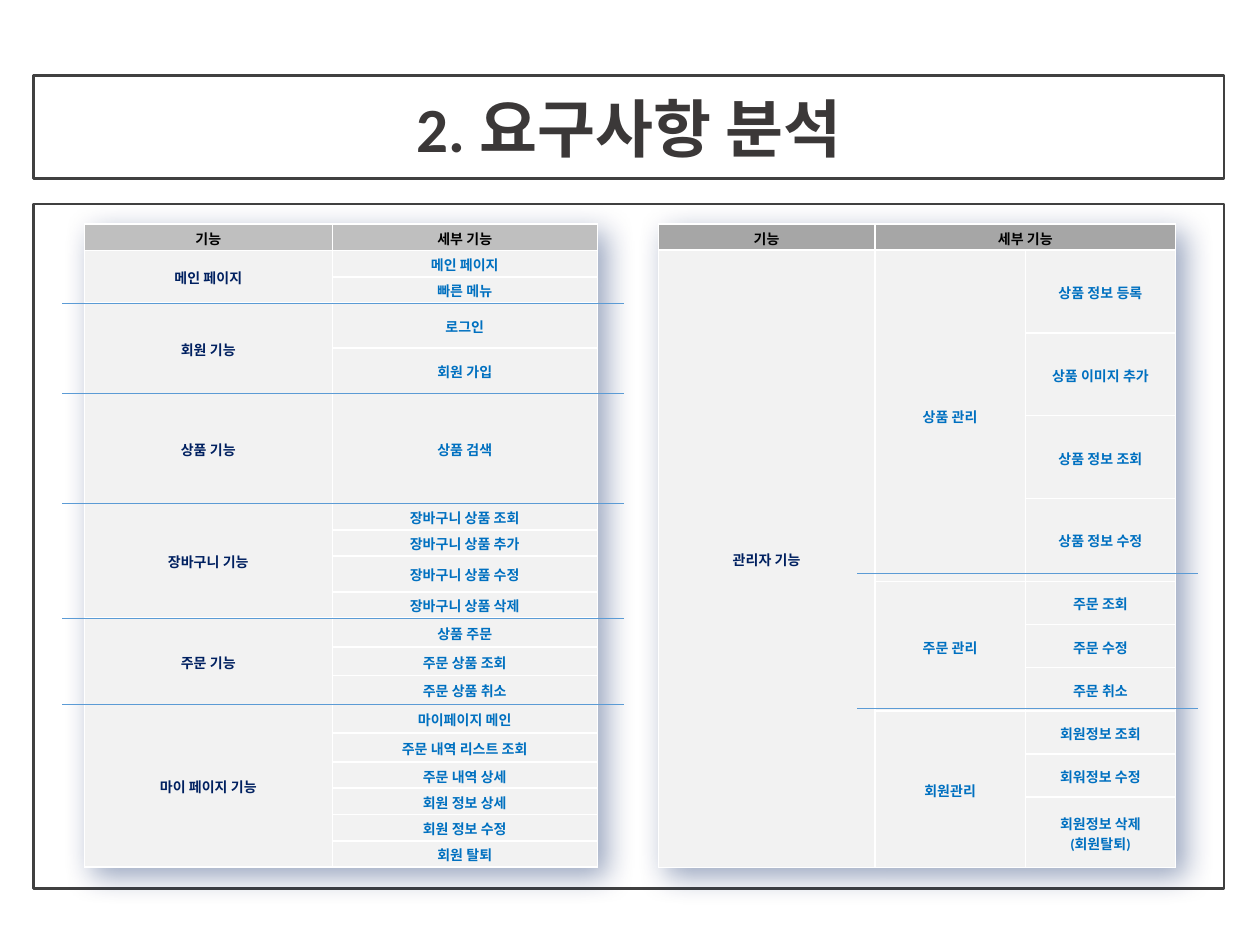
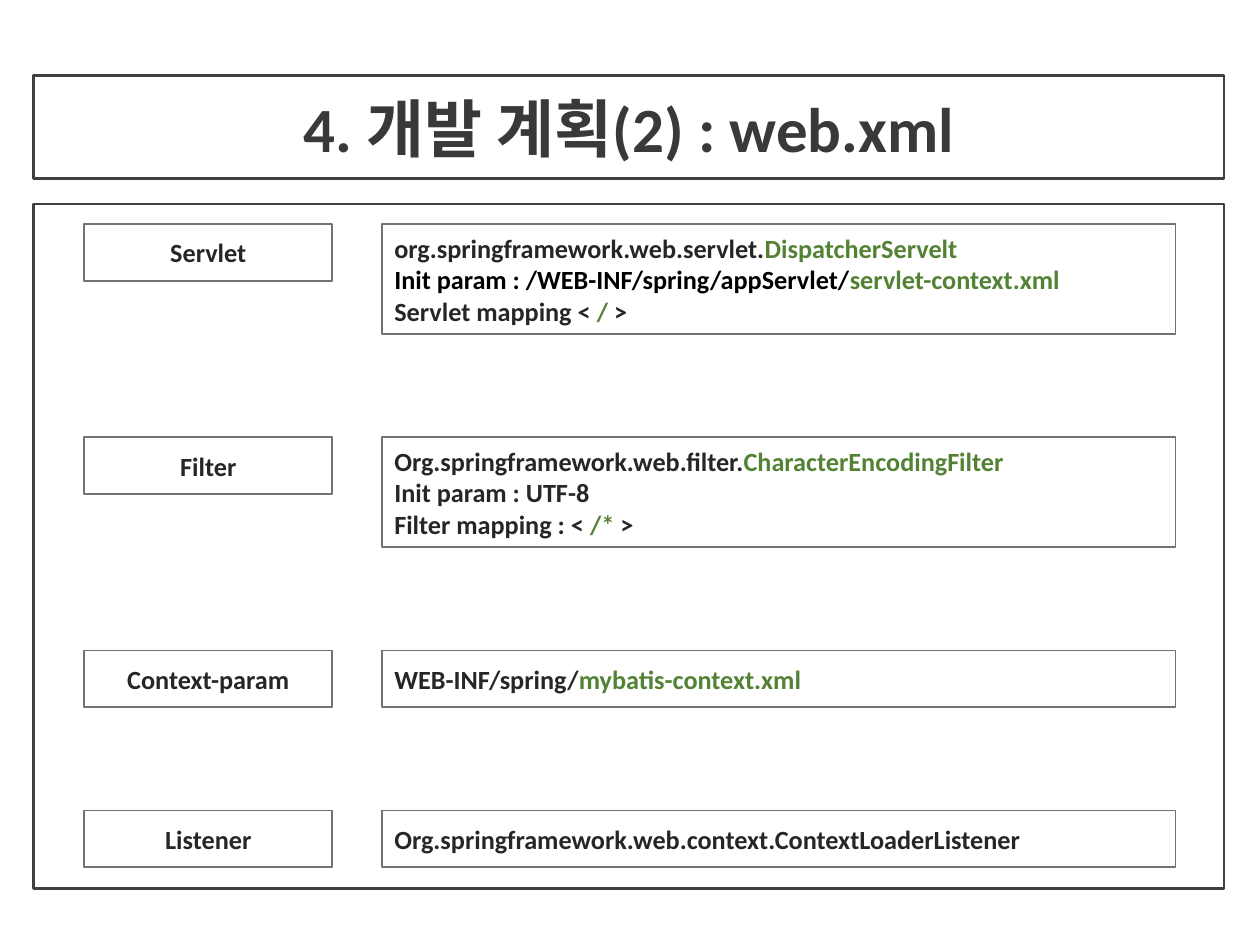
from itertools import accumulate

from lxml.etree import SubElement
from pptx import Presentation
from pptx.dml.color import RGBColor
from pptx.enum.shapes import MSO_CONNECTOR, MSO_SHAPE
from pptx.enum.text import MSO_ANCHOR as Anchor, PP_ALIGN as Align
from pptx.oxml.ns import qn
from pptx.util import Cm, Pt

FONT = "Calibri"
FRAME, BOX_LINE, DIVIDER = "404040", "767171", "5B9BD5"
TITLE, INK, BLACK, GREEN = "3B3838", "262626", "000000", "548235"
NAVY, BLUE, WHITE = "002060", "0070C0", "FFFFFF"
CELL, LIGHT_HEAD, DARK_HEAD = "F2F2F2", "BFBFBF", "A6A6A6"

# Boxes are left, top, width, height in centimetres
TITLE_BOX = (0.68, 1.52, 24, 2.08)
BODY_BOX = (0.68, 4.11, 24, 13.8)
CONTENT_BOX = (1.7, 4.52, 22, 12.96)

USER_FEATURES = [
    ("메인 페이지", [("메인 페이지", 0.53), ("빠른 메뉴", 0.53)]),
    ("회원 기능", [("로그인", 0.91), ("회원 가입", 0.91)]),
    ("상품 기능", [("상품 검색", 2.22)]),
    ("장바구니 기능", [("장바구니 상품 조회", 0.53), ("장바구니 상품 추가", 0.53),
                  ("장바구니 상품 수정", 0.72), ("장바구니 상품 삭제", 0.53)]),
    ("주문 기능", [("상품 주문", 0.58), ("주문 상품 조회", 0.58), ("주문 상품 취소", 0.58)]),
    ("마이 페이지 기능", [("마이페이지 메인", 0.58), ("주문 내역 리스트 조회", 0.58),
                   ("주문 내역 상세", 0.53), ("회원 정보 상세", 0.53),
                   ("회원 정보 수정", 0.53), ("회원 탈퇴", 0.53)]),
]
ADMIN_FEATURES = [
    ("상품 관리", [("상품 정보 등록", 1.67), ("상품 이미지 추가", 1.67),
               ("상품 정보 조회", 1.67), ("상품 정보 수정", 1.67)]),
    ("주문 관리", [("주문 조회", 0.87), ("주문 수정", 0.87), ("주문 취소", 0.87)]),
    ("회원관리", [("회원정보 조회", 0.87), ("회워정보 수정", 0.87),
              ("회원정보 삭제\v(회원탈퇴)", 1.42)]),
]

# Label, box height, lines of coloured runs
WEB_XML = [
    ("Servlet", 2.21, [
        [("org.springframework.web.servlet.", INK), ("DispatcherServelt", GREEN)],
        [("Init param : /WEB-INF/spring/appServlet/", BLACK), ("servlet-context.xml", GREEN)],
        [("Servlet mapping < ", INK), ("/", GREEN), (" >", INK)]]),
    ("Filter", 2.21, [
        [("Org.springframework.web.filter.", INK), ("CharacterEncodingFilter", GREEN)],
        [("Init param : UTF-8", INK)],
        [("Filter mapping : < ", INK), ("/*", GREEN), (" >", INK)]]),
    ("Context-param", 1.14, [[("WEB-INF/spring/", INK), ("mybatis-context.xml", GREEN)]]),
    ("Listener", 1.14, [[("Org.springframework.web.context.ContextLoaderListener", INK)]]),
]


def rgb(value):
    return RGBColor.from_string(value)


def style_run(run, size, color):
    run.font.name, run.font.size, run.font.bold = FONT, Pt(size), True
    run.font.color.rgb = rgb(color)


def add_box(slide, box, line_color, line_width, lines=(), size=15, align=Align.CENTER):
    """Outlined rectangle holding lines of coloured runs."""
    shape = slide.shapes.add_shape(MSO_SHAPE.RECTANGLE, *map(Cm, box))
    shape.shadow.inherit = False
    shape.fill.background()
    shape.line.color.rgb = rgb(line_color)
    shape.line.width = Pt(line_width)
    frame = shape.text_frame
    frame.word_wrap = True
    frame.vertical_anchor = Anchor.MIDDLE
    for index, parts in enumerate(lines):
        paragraph = frame.add_paragraph() if index else frame.paragraphs[0]
        paragraph.alignment = align
        for text, color in parts:
            run = paragraph.add_run()
            run.text = text
            style_run(run, size, color)


def add_framed_slide(presentation, title):
    """Blank slide with the title band and the body frame."""
    slide = presentation.slides.add_slide(presentation.slide_layouts[6])
    add_box(slide, TITLE_BOX, FRAME, 1.5, [[(title, TITLE)]], size=36)
    add_box(slide, BODY_BOX, FRAME, 1.5)
    return slide


def add_solid_fill(parent, color):
    fill = SubElement(parent, qn("a:solidFill"))
    return SubElement(fill, qn("a:srgbClr"), val=color)


def format_cell(cell, fill):
    properties = cell._tc.get_or_add_tcPr()
    for side in ("L", "R", "T", "B"):
        add_solid_fill(SubElement(properties, qn(f"a:ln{side}"), w=str(Pt(1))), WHITE)
    cell.fill.solid()
    cell.fill.fore_color.rgb = rgb(fill)
    cell.margin_left = cell.margin_right = cell.margin_top = Cm(0.03)
    cell.margin_bottom = 0
    cell.vertical_anchor = Anchor.MIDDLE


def write_cell(cell, text, color):
    cell.text_frame.text = text
    for paragraph in cell.text_frame.paragraphs:
        paragraph.alignment = Align.CENTER
        for run in paragraph.runs:
            style_run(run, 8, color)


def add_table_shadow(table):
    effects = SubElement(table._tbl.tblPr, qn("a:effectLst"))
    shadow = SubElement(effects, qn("a:outerShdw"), blurRad=str(Cm(0.6)),
                        dist=str(Cm(0.25)), dir="2700000", algn="tl", rotWithShape="0")
    SubElement(add_solid_color(shadow, NAVY), qn("a:alpha"), val="40000")


def add_solid_color(parent, color):
    return SubElement(parent, qn("a:srgbClr"), val=color)


def add_feature_table(slide, left, top, columns, header, header_fill, groups, group_color):
    """Table whose last two columns hold feature groups and their details."""
    heights = [header] + [height for _, details in groups for _, height in details]
    table = slide.shapes.add_table(len(heights), len(columns), Cm(left), Cm(top),
                                   Cm(sum(columns)), Cm(sum(heights))).table
    for column, width in zip(table.columns, columns):
        column.width = Cm(width)
    for index, height in enumerate(heights):
        table.rows[index].height = Cm(height)
        for cell in table.rows[index].cells:
            format_cell(cell, CELL if index else header_fill)
    add_table_shadow(table)

    # Header
    write_cell(table.cell(0, 0), "기능", BLACK)
    write_cell(table.cell(0, 1), "세부 기능", BLACK)

    # Groups and details
    last = len(columns) - 1
    row = 1
    for group, details in groups:
        write_cell(table.cell(row, last - 1), group, group_color)
        if len(details) > 1:
            table.cell(row, last - 1).merge(table.cell(row + len(details) - 1, last - 1))
        for detail, _ in details:
            write_cell(table.cell(row, last), detail, BLUE)
            row += 1
    return table


def add_dividers(slide, left, right, heights):
    for y in heights:
        line = slide.shapes.add_connector(MSO_CONNECTOR.STRAIGHT, Cm(left), Cm(y),
                                          Cm(right), Cm(y))
        line.line.color.rgb = rgb(DIVIDER)
        line.line.width = Pt(0.5)
        SubElement(line._element.spPr, qn("a:effectLst"))


def build_requirements(slide, box):
    left, top, width, _ = box

    # User features, with a divider under each group but the last
    user_columns, user_header = (5, 5.34), 0.53
    add_feature_table(slide, left, top, user_columns, user_header, LIGHT_HEAD,
                      USER_FEATURES, NAVY)
    group_heights = [sum(height for _, height in details) for _, details in USER_FEATURES]
    group_ends = accumulate(group_heights[:-1], initial=top + user_header)
    add_dividers(slide, left - 0.45, left + sum(user_columns) + 0.53, list(group_ends)[1:])

    # Administrator features
    admin_columns = (4.37, 3.03, 3.03)
    admin_left = left + width - sum(admin_columns)
    table = add_feature_table(slide, admin_left, top, admin_columns, 0.52, DARK_HEAD,
                              ADMIN_FEATURES, BLUE)
    table.cell(0, 1).merge(table.cell(0, 2))
    write_cell(table.cell(1, 0), "관리자 기능", NAVY)
    table.cell(1, 0).merge(table.cell(len(table.rows) - 1, 0))
    add_dividers(slide, admin_left + admin_columns[0] - 0.36, left + width + 0.46,
                 (top + 7.04, top + 9.76))


def build_web_xml(slide, box):
    left, top, width, height = box
    label_width, label_height, gutter = 5, 1.14, 1
    free = height - sum(entry_height for _, entry_height, _ in WEB_XML)
    gap = free / (len(WEB_XML) - 1)
    detail_left = left + label_width + gutter
    for label, entry_height, lines in WEB_XML:
        add_box(slide, (left, top, label_width, label_height), BOX_LINE, 1, [[(label, INK)]])
        add_box(slide, (detail_left, top, left + width - detail_left, entry_height),
                BOX_LINE, 1, lines, align=Align.LEFT)
        top += entry_height + gap


def main():
    presentation = Presentation()
    presentation.slide_width, presentation.slide_height = Cm(25.4), Cm(19.05)
    build_requirements(add_framed_slide(presentation, "2. 요구사항 분석"), CONTENT_BOX)
    build_web_xml(add_framed_slide(presentation, "4. 개발 계획(2) : web.xml"), CONTENT_BOX)
    presentation.save("out.pptx")


if __name__ == "__main__":
    main()
